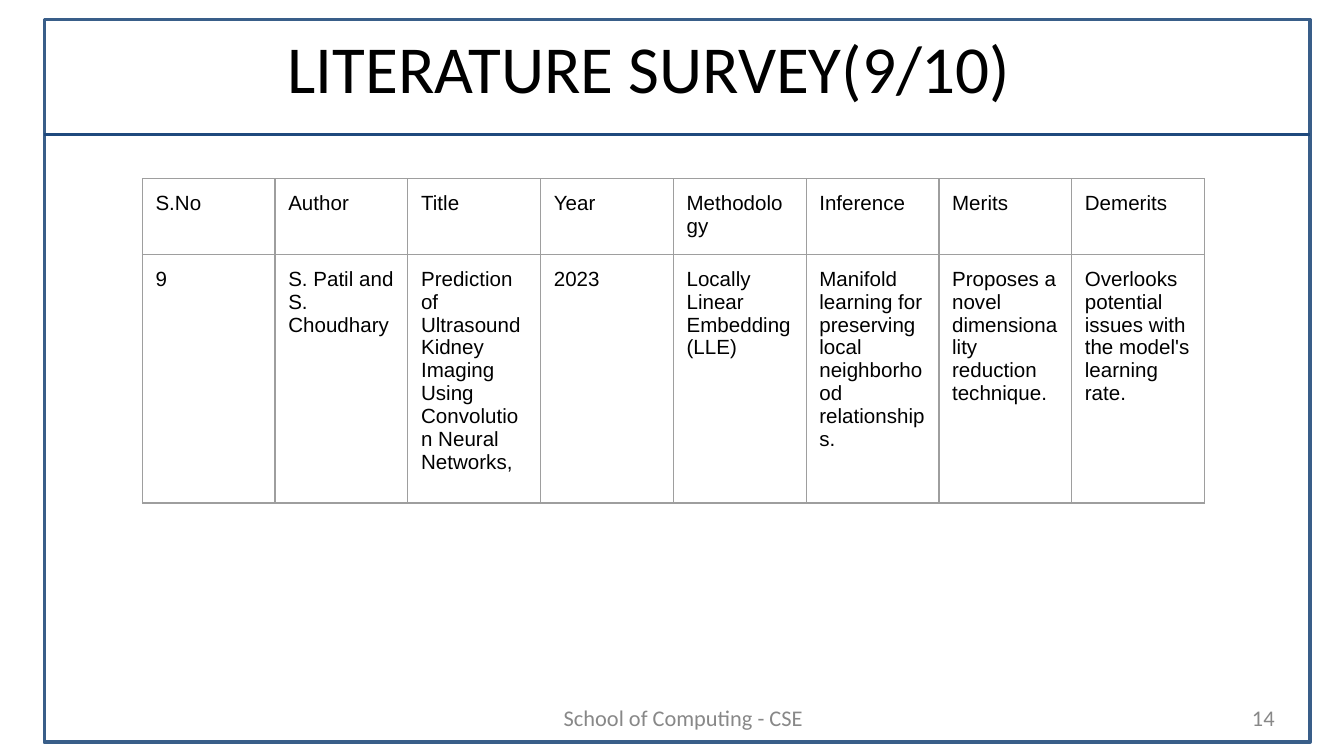
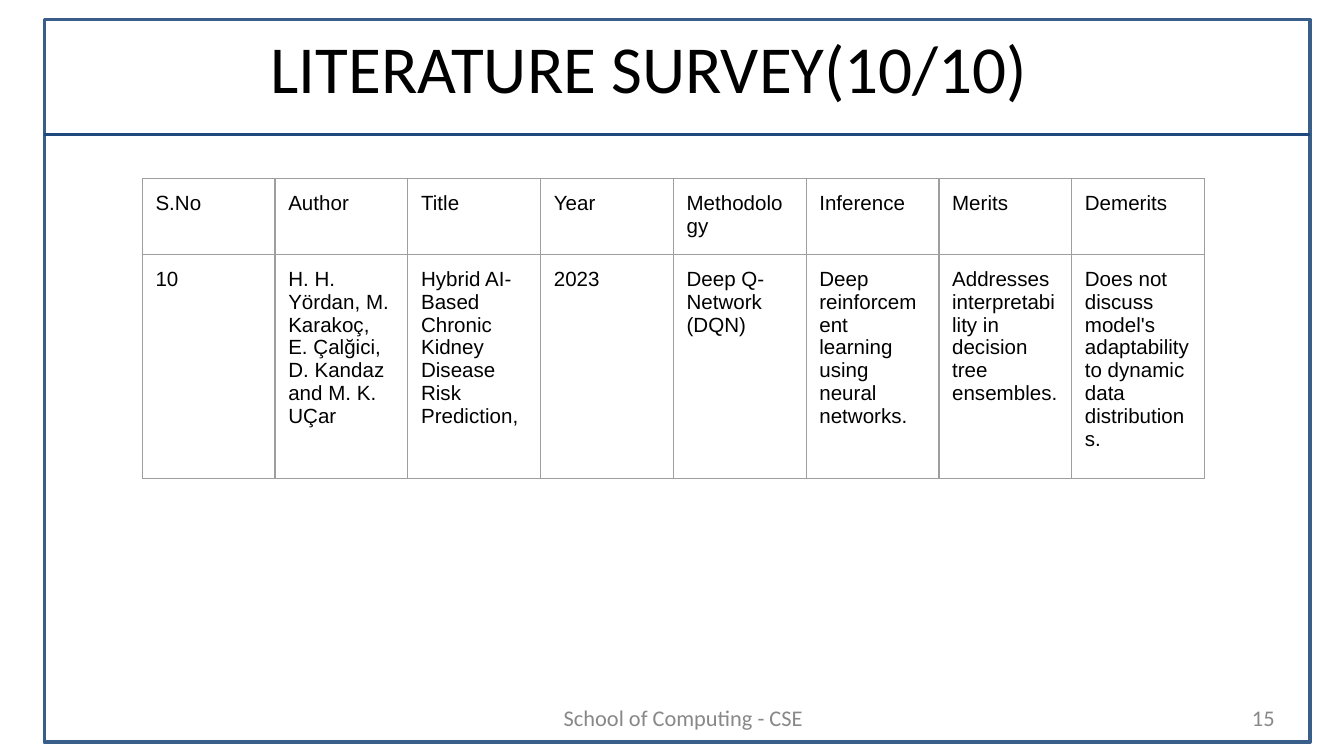
import pptx
import pptx.util
import pptx.dml.color
import pptx.enum.shapes
import pptx.enum.text
import pptx.oxml.ns
import lxml.etree

Cm = pptx.util.Cm
Pt = pptx.util.Pt
RGBColor = pptx.dml.color.RGBColor
ALIGN = pptx.enum.text.PP_ALIGN
ANCHOR = pptx.enum.text.MSO_ANCHOR

FRAME_BLUE = RGBColor(0x39, 0x5E, 0x89)
RULE_BLUE = RGBColor(0x1F, 0x49, 0x7D)
GRID_GRAY = RGBColor(0x9E, 0x9E, 0x9E)
FOOTER_GRAY = RGBColor(0x88, 0x88, 0x88)
BLACK = RGBColor(0, 0, 0)

FOOTER = "School of Computing - CSE"
FIRST_PAGE = 14
SURVEY_TOTAL = 10
HEADINGS = ["S.No", "Author", "Title", "Year", "Methodology", "Inference", "Merits", "Demerits"]
PAPERS = [
    (
        "9",
        "S. Patil and S. Choudhary",
        "Prediction of Ultrasound Kidney Imaging Using Convolution Neural Networks,",
        "2023",
        "Locally Linear Embedding (LLE)",
        "Manifold learning for preserving local neighborhood relationships.",
        "Proposes a novel dimensionality reduction technique.",
        "Overlooks potential issues with the model's learning rate.",
    ),
    (
        "10",
        "H. H. Yördan, M. Karakoç, E. Çalğici, D. Kandaz and M. K. UÇar",
        "Hybrid AI-Based Chronic Kidney Disease Risk Prediction,",
        "2023",
        "Deep Q-Network (DQN)",
        "Deep reinforcement learning using neural networks.",
        "Addresses interpretability in decision tree ensembles.",
        "Does not discuss model's adaptability to dynamic data distributions.",
    ),
]

FRAME_LEFT, FRAME_TOP, FRAME_WIDTH, FRAME_HEIGHT = Cm(0.84), Cm(0.37), Cm(23.92), Cm(13.66)
RULE_Y = Cm(2.54)
TABLE_LEFT, TABLE_TOP = Cm(2.69), Cm(3.38)
COLUMN_WIDTH, ROW_HEIGHT = Cm(2.51), Cm(1.07)
CELL_MARGIN = Cm(0.25)
FOOTER_TOP, FOOTER_HEIGHT = Cm(13.28), Cm(0.56)


def write(frame, text, size, font_name, color, align):
    frame.text = text
    paragraph = frame.paragraphs[0]
    paragraph.alignment = align
    font = paragraph.runs[0].font
    font.size, font.name, font.color.rgb = Pt(size), font_name, color


def add_frame(slide):
    border = slide.shapes.add_shape(
        pptx.enum.shapes.MSO_SHAPE.RECTANGLE, FRAME_LEFT, FRAME_TOP, FRAME_WIDTH, FRAME_HEIGHT)
    border.shadow.inherit = False
    border.fill.background()
    rule = slide.shapes.add_connector(
        pptx.enum.shapes.MSO_CONNECTOR.STRAIGHT,
        FRAME_LEFT, RULE_Y, FRAME_LEFT + FRAME_WIDTH, RULE_Y)
    lxml.etree.SubElement(rule._element.spPr, pptx.oxml.ns.qn("a:effectLst"))
    for outline, color in ((border.line, FRAME_BLUE), (rule.line, RULE_BLUE)):
        outline.color.rgb = color
        outline.width = Pt(2)


def set_title(slide, text):
    title = slide.shapes.title
    title.left, title.top, title.width, title.height = FRAME_LEFT, Cm(0.36), Cm(22.86), Cm(1.78)
    write(title.text_frame, text, 36, "Calibri", BLACK, ALIGN.CENTER)
    title.text_frame.auto_size = pptx.enum.text.MSO_AUTO_SIZE.NONE
    title.text_frame.vertical_anchor = ANCHOR.MIDDLE


def add_footer(slide, text, left, width, align):
    footer = slide.shapes.add_textbox(left, FOOTER_TOP, width, FOOTER_HEIGHT).text_frame
    footer.word_wrap = True
    footer.vertical_anchor = ANCHOR.MIDDLE
    write(footer, text, 12, "Calibri", FOOTER_GRAY, align)


def format_cell(cell, text):
    write(cell.text_frame, text, 11, "Arial", BLACK, ALIGN.LEFT)
    cell.margin_left = cell.margin_right = cell.margin_top = cell.margin_bottom = CELL_MARGIN
    properties = cell._tc.get_or_add_tcPr()
    for side in ("a:lnL", "a:lnR", "a:lnT", "a:lnB"):
        edge = lxml.etree.SubElement(properties, pptx.oxml.ns.qn(side), w=str(Pt(0.75)))
        fill = lxml.etree.SubElement(edge, pptx.oxml.ns.qn("a:solidFill"))
        lxml.etree.SubElement(fill, pptx.oxml.ns.qn("a:srgbClr"), val=str(GRID_GRAY))
    cell.fill.background()


def add_survey(slide, paper):
    rows = (HEADINGS, paper)
    survey = slide.shapes.add_table(
        len(rows), len(HEADINGS), TABLE_LEFT, TABLE_TOP,
        COLUMN_WIDTH * len(HEADINGS), ROW_HEIGHT * len(rows)).table
    survey.first_row = survey.horz_banding = False
    for row_index, row in enumerate(rows):
        for column_index, text in enumerate(row):
            format_cell(survey.cell(row_index, column_index), text)


def main():
    deck = pptx.Presentation()
    deck.slide_width, deck.slide_height = Cm(25.4), Cm(14.29)
    title_only = deck.slide_layouts[5]
    for page, paper in enumerate(PAPERS, FIRST_PAGE):
        slide = deck.slides.add_slide(title_only)
        add_frame(slide)
        set_title(slide, f"LITERATURE SURVEY({paper[0]}/{SURVEY_TOTAL})")
        add_footer(slide, FOOTER, Cm(8.89), Cm(8.05), ALIGN.CENTER)
        add_footer(slide, str(page), Cm(18.42), Cm(5.92), ALIGN.RIGHT)
        add_survey(slide, paper)
    deck.save("out.pptx")


if __name__ == "__main__":
    main()
